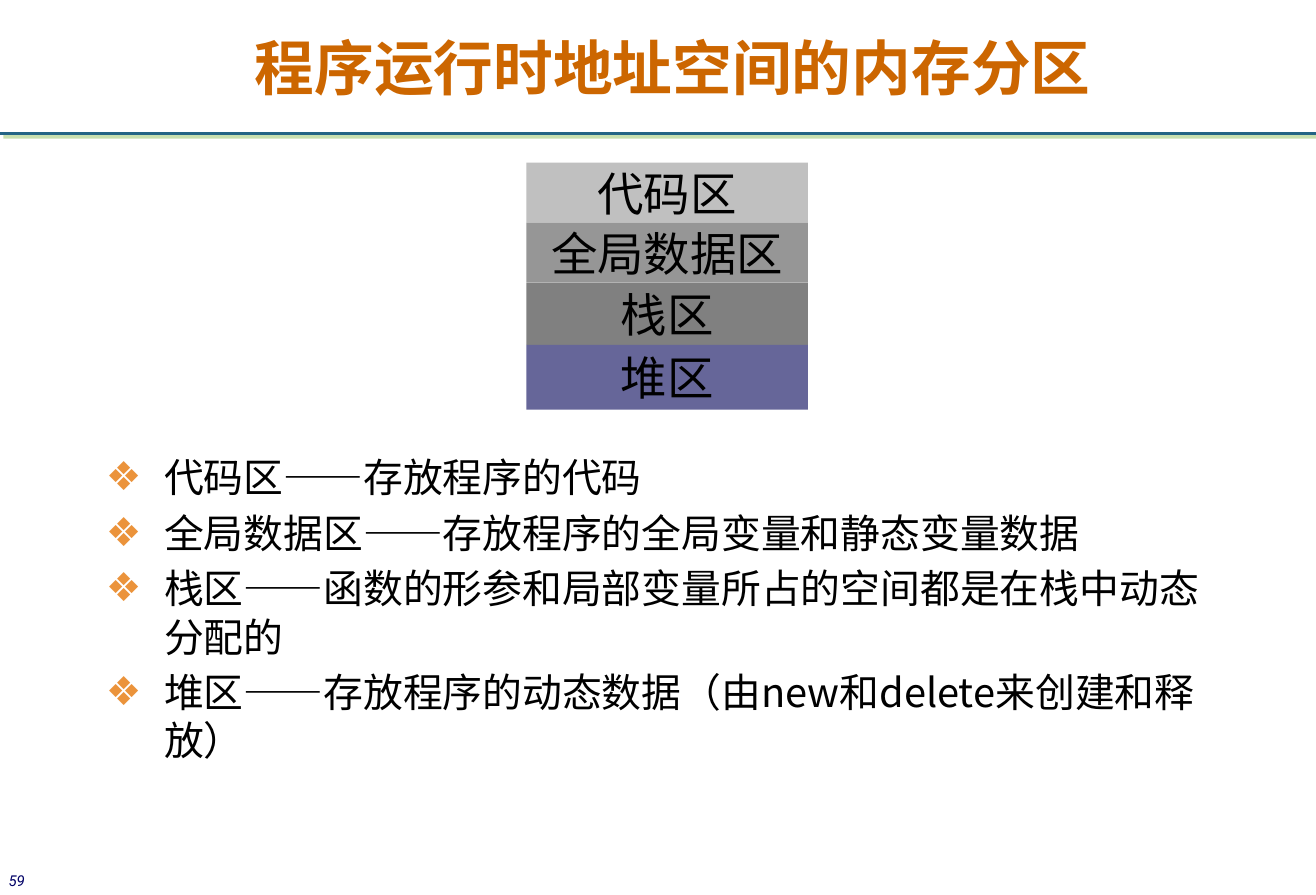
from dataclasses import dataclass
from lxml.etree import SubElement as Sub
from pptx import Presentation
from pptx.dml.color import RGBColor as Rgb
from pptx.enum.shapes import MSO_CONNECTOR as Link, MSO_SHAPE as Kind
from pptx.enum.text import MSO_ANCHOR as Anchor, MSO_AUTO_SIZE as Fit, PP_ALIGN as Align
from pptx.oxml.ns import qn
from pptx.util import Cm, Pt


@dataclass(frozen=True)
class Theme:
    """Colours, faces and type sizes of the slide."""
    title: str = "CC6600"
    text: str = "000000"
    bullet: str = "EB933B"
    rule: str = "236485"
    glow: str = "90C060"
    page: str = "000066"
    paper: str = "FFFFFF"
    sans: str = "Noto Sans CJK KR"
    serif: str = "Times New Roman"
    small: str = "Roboto"
    head_size: int = 36
    band_size: int = 28
    body_size: int = 24
    page_size: int = 9


THEME = Theme()
ZONES = [
    ("代码区", "C0C0C0", 1.28),
    ("全局数据区", "969696", 1.28),
    ("栈区", "808080", 1.32),
    ("堆区", "666699", 1.38),
]
NOTES = [
    "代码区——存放程序的代码",
    "全局数据区——存放程序的全局变量和静态变量数据",
    "栈区——函数的形参和局部变量所占的空间都是在栈中动态分配的",
    "堆区——存放程序的动态数据（由new和delete来创建和释放）",
]


def style(para, face, size, color, bold=False, italic=False):
    """Set the font of a whole paragraph, East Asian text included."""
    font = para.font
    font.name, font.size = face, Pt(size)
    font.bold, font.italic = bold, italic
    font.color.rgb = Rgb.from_string(color)
    props = para._p.pPr.find(qn("a:defRPr"))
    Sub(props, qn("a:ea"), typeface=THEME.sans)


def place(shape, box):
    """Move a shape to a box given in centimetres."""
    shape.left, shape.top, shape.width, shape.height = map(Cm, box)


def frame_up(shape, anchor):
    """Prepare a text frame that wraps and keeps its size."""
    frame = shape.text_frame
    frame.word_wrap, frame.auto_size = True, Fit.NONE
    frame.vertical_anchor = anchor
    return frame


def block(shapes, box, fill, text):
    """Draw a plain filled rectangle with centred text."""
    shape = shapes.add_shape(Kind.RECTANGLE, *map(Cm, box))
    shape.shadow.inherit = False
    shape.fill.solid()
    shape.fill.fore_color.rgb = Rgb.from_string(fill)
    shape.line.fill.background()
    frame = frame_up(shape, Anchor.MIDDLE)
    frame.text = text
    para = frame.paragraphs[0]
    para.alignment = Align.CENTER
    return frame, para


def add_head(slide, box, text):
    """Fill the title placeholder."""
    title = slide.shapes.title
    place(title, box)
    frame = frame_up(title, Anchor.TOP)
    frame.text = text
    para = frame.paragraphs[0]
    para.alignment, para.line_spacing = Align.CENTER, Pt(43)
    style(para, THEME.sans, THEME.head_size, THEME.title, bold=True)


def add_rule(slide, box):
    """Draw the line under the title with its soft green shadow."""
    left, top, width, _ = box
    rule = slide.shapes.add_connector(
        Link.STRAIGHT, Cm(left), Cm(top), Cm(left + width), Cm(top))
    rule.line.color.rgb = Rgb.from_string(THEME.rule)
    rule.line.width = Pt(2.25)
    effects = Sub(rule._element.spPr, qn("a:effectLst"))
    shade = Sub(effects, qn("a:outerShdw"), dist=str(Pt(2.8)),
                dir="2700000", algn="ctr", rotWithShape="0")
    tint = Sub(shade, qn("a:srgbClr"), val=THEME.glow)
    Sub(tint, qn("a:alpha"), val="50000")


def add_zones(slide, box, zones):
    """Stack the memory zones from the top of the box."""
    left, top, width, _ = box
    group = slide.shapes.add_group_shape()
    for name, fill, height in zones:
        _, para = block(group.shapes, (left, top, width, height), fill, name)
        style(para, THEME.serif, THEME.band_size, THEME.text)
        top += height


def add_notes(slide, box, notes):
    """Fill the body placeholder with the bulleted list."""
    body = slide.placeholders[1]
    place(body, box)
    frame = frame_up(body, Anchor.TOP)
    frame.text = "\n".join(notes)
    for para in frame.paragraphs:
        props = para._p.get_or_add_pPr()
        props.set("marL", str(Cm(1.24)))
        props.set("indent", str(Cm(-1.24)))
        tint = Sub(props, qn("a:buClr"))
        Sub(tint, qn("a:srgbClr"), val=THEME.bullet)
        Sub(props, qn("a:buChar"), char="❖")
        para.line_spacing = Pt(29)
        para.space_before, para.space_after = Pt(0), Pt(4.5)
        style(para, THEME.sans, THEME.body_size, THEME.text)


def add_page(slide, box, number):
    """Put the page number in the corner."""
    frame, para = block(slide.shapes, box, THEME.paper, number)
    frame.word_wrap = False
    frame.margin_left = frame.margin_right = 0
    para.line_spacing = 1.3
    style(para, THEME.small, THEME.page_size, THEME.page, italic=True)


def main():
    """Build and save the slide."""
    deck = Presentation()
    deck.slide_width, deck.slide_height = Cm(28), Cm(19.05)
    slide = deck.slides.add_slide(deck.slide_layouts[1])
    add_rule(slide, (0, 2.84, 28, 0))
    add_page(slide, (0, 18.36, 0.79, 0.66), "59 ")
    add_head(slide, (3.81, 0.53, 21, 1.32), "程序运行时地址空间的内存分区")
    add_notes(slide, (2, 9.51, 23.88, 8), NOTES)
    add_zones(slide, (11.2, 3.46, 5.99, 5.26), ZONES)
    deck.save("out.pptx")


if __name__ == "__main__":
    main()
